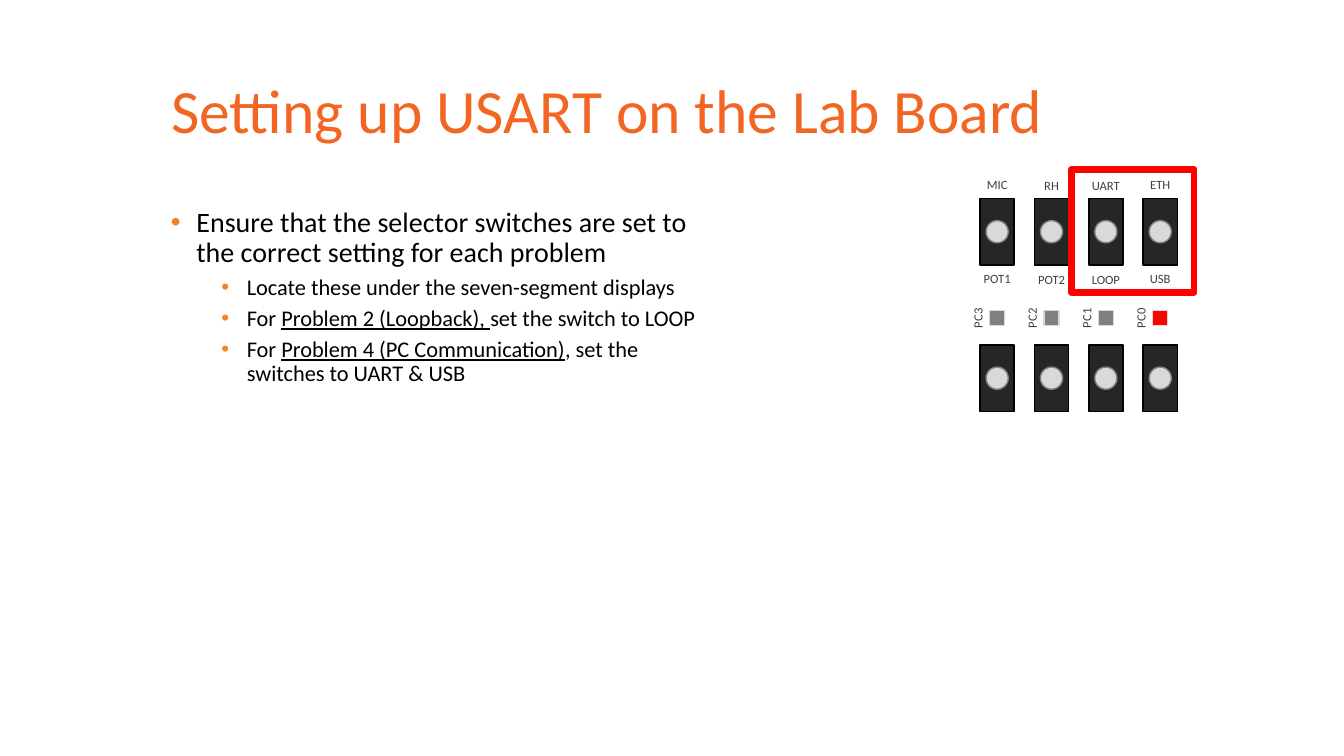
import pptx
import pptx.util
import pptx.dml.color
import pptx.enum.shapes
import pptx.enum.text
import pptx.oxml
import pptx.oxml.ns

Cm = pptx.util.Cm
Pt = pptx.util.Pt
SHAPE = pptx.enum.shapes.MSO_SHAPE
ALIGN = pptx.enum.text.PP_ALIGN


def add_run(paragraph, text, size, color, underline=None):
    run = paragraph.add_run()
    run.text = text
    run.font.name = "Calibri"
    run.font.size = Pt(size)
    run.font.underline = underline
    run.font.color.rgb = pptx.dml.color.RGBColor.from_string(color)


def add_centered_shape(kind, center_x, center_y, width, height, fill, line, weight=1):
    shape = slide.shapes.add_shape(
        kind, Cm(center_x - width / 2), Cm(center_y - height / 2), Cm(width), Cm(height)
    )
    shape.shadow.inherit = False
    if fill:
        shape.fill.solid()
        shape.fill.fore_color.rgb = pptx.dml.color.RGBColor.from_string(fill)
    else:
        shape.fill.background()
    shape.line.color.rgb = pptx.dml.color.RGBColor.from_string(line)
    shape.line.width = Pt(weight)


presentation = pptx.Presentation()
presentation.slide_width = Cm(33.87)
presentation.slide_height = Cm(19.05)
slide = presentation.slides.add_slide(presentation.slide_layouts[5])

title = slide.shapes.title
title.left, title.top, title.width, title.height = Cm(4.06), Cm(1.02), Cm(29.21), Cm(3.68)
title.text_frame.vertical_anchor = pptx.enum.text.MSO_ANCHOR.MIDDLE
paragraph = title.text_frame.paragraphs[0]
paragraph.alignment = ALIGN.LEFT
paragraph.line_spacing = 0.9
add_run(paragraph, "Setting up USART on the Lab Board", 44, "F26522")

instructions = [
    (0, [("Ensure that the selector switches are set to the correct setting for each problem", None)]),
    (1, [("Locate these under the seven-segment displays", None)]),
    (1, [("For ", None), ("Problem 2 (Loopback), ", True), ("set the switch to LOOP", None)]),
    (1, [("For ", None), ("Problem 4 (PC Communication)", True), (", set the switches to UART & USB", None)]),
]
body = slide.shapes.add_textbox(Cm(4.06), Cm(5.13), Cm(14.25), Cm(12.67))
body.text_frame.word_wrap = True
for index, (level, pieces) in enumerate(instructions):
    paragraph = body.text_frame.add_paragraph() if index else body.text_frame.paragraphs[0]
    paragraph.level = level
    paragraph.line_spacing = 0.9
    paragraph.space_before = Pt(5 if level else 10)
    properties = paragraph._p.get_or_add_pPr()
    properties.set("marL", str(Cm(0.64 + 1.27 * level)))
    properties.set("indent", str(Cm(-0.64)))
    namespace = pptx.oxml.ns.nsdecls("a")
    for markup in (
        f'<a:buClr {namespace}><a:srgbClr val="F58220"/></a:buClr>',
        f'<a:buFont {namespace} typeface="Arial"/>',
        f'<a:buChar {namespace} char="•"/>',
    ):
        properties.append(pptx.oxml.parse_xml(markup))
    for text, underline in pieces:
        add_run(paragraph, text, 16 if level else 20, "000000", underline)

columns = [
    ("MIC", "POT1", "PC3", "808080", 0),
    ("RH", "POT2", "PC2", "808080", 0.03),
    ("UART", "LOOP", "PC1", "808080", 0.03),
    ("ETH", "USB", "PC0", "FF0000", 0),
]
for index, (upper, lower, port, light, drop) in enumerate(columns):
    center = 25.13 + 1.37 * index
    for switch_center in (5.84, 9.53):
        add_centered_shape(SHAPE.RECTANGLE, center, switch_center, 0.86, 1.68, "262626", "000000")
        add_centered_shape(SHAPE.OVAL, center, switch_center, 0.56, 0.56, "D9D9D9", "808080")
    add_centered_shape(SHAPE.RECTANGLE, center, 8.01, 0.38, 0.38, light, "D9D9D9")
    for text, label_center, top, width, rotation in (
        (upper, center, 4.34 + drop, 1.37, 0),
        (lower, center, 6.7 + drop, 1.37, 0),
        (port, center - 0.49, 7.7, 1.02, 270),
    ):
        label = slide.shapes.add_textbox(Cm(label_center - width / 2), Cm(top), Cm(width), Cm(0.64))
        label.rotation = rotation
        label.text_frame.word_wrap = not rotation
        label.text_frame.auto_size = pptx.enum.text.MSO_AUTO_SIZE.SHAPE_TO_FIT_TEXT
        paragraph = label.text_frame.paragraphs[0]
        paragraph.alignment = ALIGN.CENTER
        add_run(paragraph, text, 9, "404040")

add_centered_shape(SHAPE.RECTANGLE, 28.55, 5.82, 3.1, 3.1, None, "FF0000", 4.5)

presentation.save("out.pptx")
